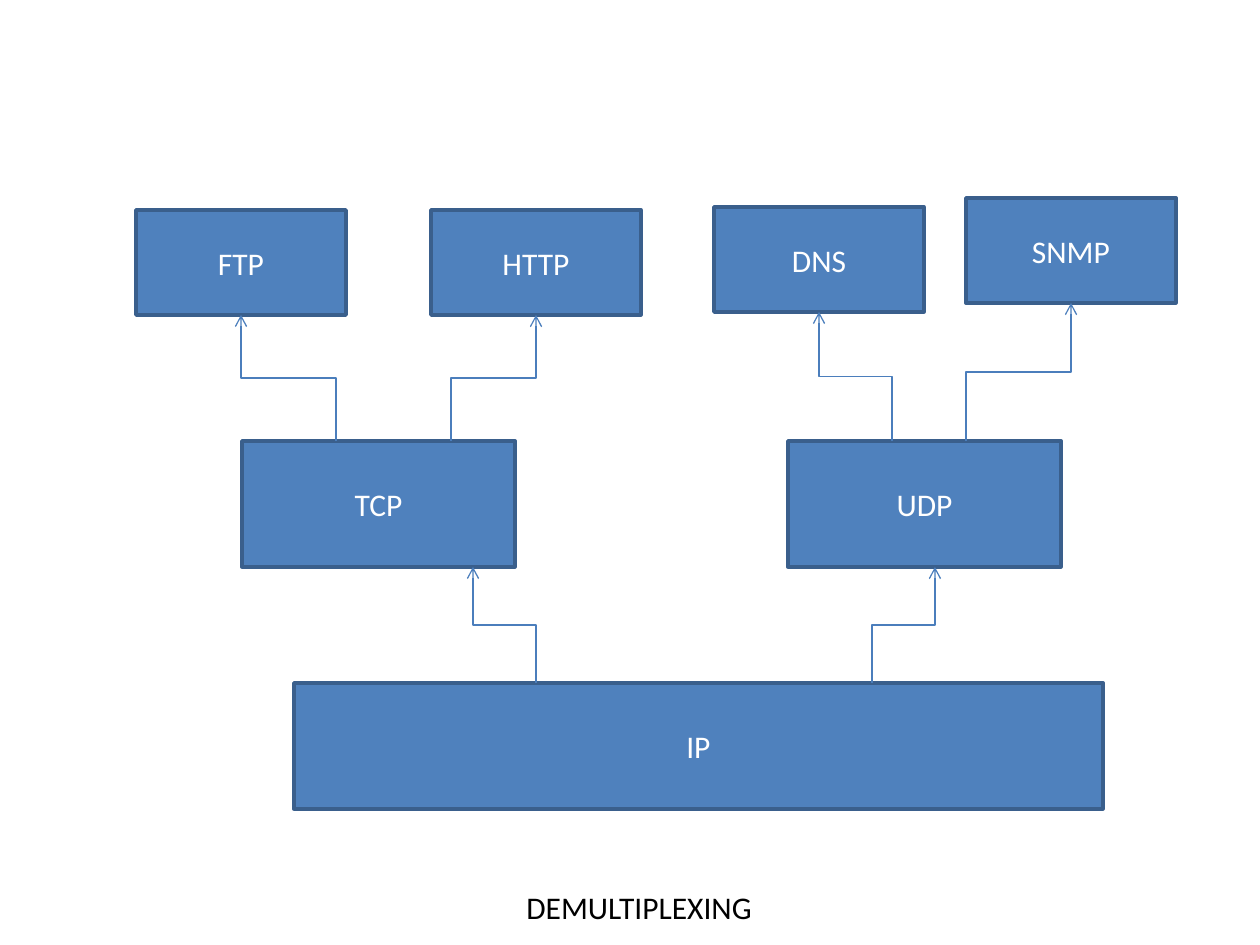
import pptx
import pptx.dml.color
import pptx.enum.shapes
import pptx.enum.text
import pptx.oxml
import pptx.oxml.ns
import pptx.util

EMU_PER_PX = 914400 / 126
COLORS = {
    "fill": "4F81BD",
    "border": "3A5F8C",
    "arrow": "4B7EBC",
    "light": "FFFFFF",
    "dark": "000000",
}
APP_SIZE = (210, 105)
TRANSPORT_SIZE = (273, 126)
TRANSPORT_DROP = 243

# Positions inside a branch are measured from its top left corner.
BRANCHES = [
    {"corner": (136, 198), "transport": ("TCP", 106),
     "apps": [("FTP", 0, 12, 200), ("HTTP", 295, 12, 315)]},
    {"corner": (714, 198), "transport": ("UDP", 74),
     "apps": [("DNS", 0, 9, 178), ("SNMP", 252, 0, 252)]},
]


def px(length):
    return pptx.util.Emu(round(length * EMU_PER_PX))


def color(name):
    return pptx.dml.color.RGBColor.from_string(COLORS[name])


def set_text(shape, text, color_name, alignment):
    para = shape.text_frame.paragraphs[0]
    para.text = text
    para.alignment = alignment
    font = para.runs[0].font
    font.name = "Calibri"
    font.size = pptx.util.Pt(18)
    font.color.rgb = color(color_name)


def add_protocol(page, name, left, top, size):
    box = page.shapes.add_shape(
        pptx.enum.shapes.MSO_SHAPE.RECTANGLE, px(left), px(top), *map(px, size))
    box.shadow.inherit = False
    box.fill.solid()
    box.fill.fore_color.rgb = color("fill")
    box.line.color.rgb = color("border")
    box.line.width = pptx.util.Pt(2)
    box.text_frame.vertical_anchor = pptx.enum.text.MSO_ANCHOR.MIDDLE
    set_text(box, name, "light", pptx.enum.text.PP_ALIGN.CENTER)


def add_rising_arrow(page, start, end):
    """Draw an elbow that leaves upwards: laid out sideways, then turned by 270 degrees."""
    (start_x, start_y), (end_x, end_y) = start, end
    middle_x, middle_y = (start_x + end_x) / 2, (start_y + end_y) / 2
    half_run, half_rise = (end_x - start_x) / 2, (start_y - end_y) / 2
    arrow = page.shapes.add_connector(
        pptx.enum.shapes.MSO_CONNECTOR.ELBOW,
        px(middle_x - half_rise), px(middle_y - half_run),
        px(middle_x + half_rise), px(middle_y + half_run))
    arrow.line.color.rgb = color("arrow")
    arrow.line.width = pptx.util.Pt(0.75)
    properties = arrow._element.spPr
    properties.find(pptx.oxml.ns.qn("a:xfrm")).set("rot", str(270 * 60000))
    namespace = pptx.oxml.ns.nsdecls("a")
    arrow.line._get_or_add_ln().append(
        pptx.oxml.parse_xml(f'<a:tailEnd {namespace} type="arrow"/>'))
    properties.append(pptx.oxml.parse_xml(f"<a:effectLst {namespace}/>"))


def draw_branch(page, corner, transport, apps):
    """Draw a transport protocol with the applications it feeds."""
    left, top = corner
    name, offset = transport
    transport_top = top + TRANSPORT_DROP
    add_protocol(page, name, left + offset, transport_top, TRANSPORT_SIZE)
    app_width, app_height = APP_SIZE
    for app, app_x, app_y, departure in apps:
        add_protocol(page, app, left + app_x, top + app_y, APP_SIZE)
        add_rising_arrow(
            page, (left + departure, transport_top),
            (left + app_x + app_width / 2, top + app_y + app_height))


def draw_network_layer(page, left, top, width, height):
    add_protocol(page, "IP", left, top, (width, height))
    rise = 116
    for departure, arrival in [(242, 179), (578, 641)]:
        add_rising_arrow(page, (left + departure, top), (left + arrival, top - rise))


def draw_caption(page, left, top, width, height):
    caption = page.shapes.add_textbox(px(left), px(top), px(width), px(height))
    caption.text_frame.word_wrap = False
    caption.text_frame.auto_size = pptx.enum.text.MSO_AUTO_SIZE.SHAPE_TO_FIT_TEXT
    set_text(caption, "DEMULTIPLEXING", "dark", pptx.enum.text.PP_ALIGN.LEFT)


def main():
    deck = pptx.Presentation()
    deck.slide_width, deck.slide_height = px(1260), px(945)
    page = deck.slides.add_slide(deck.slide_layouts[6])
    for branch in BRANCHES:
        draw_branch(page, **branch)
    draw_network_layer(page, 294, 683, 809, 126)
    draw_caption(page, 514, 882, 253, 50)
    deck.save("out.pptx")


if __name__ == "__main__":
    main()
